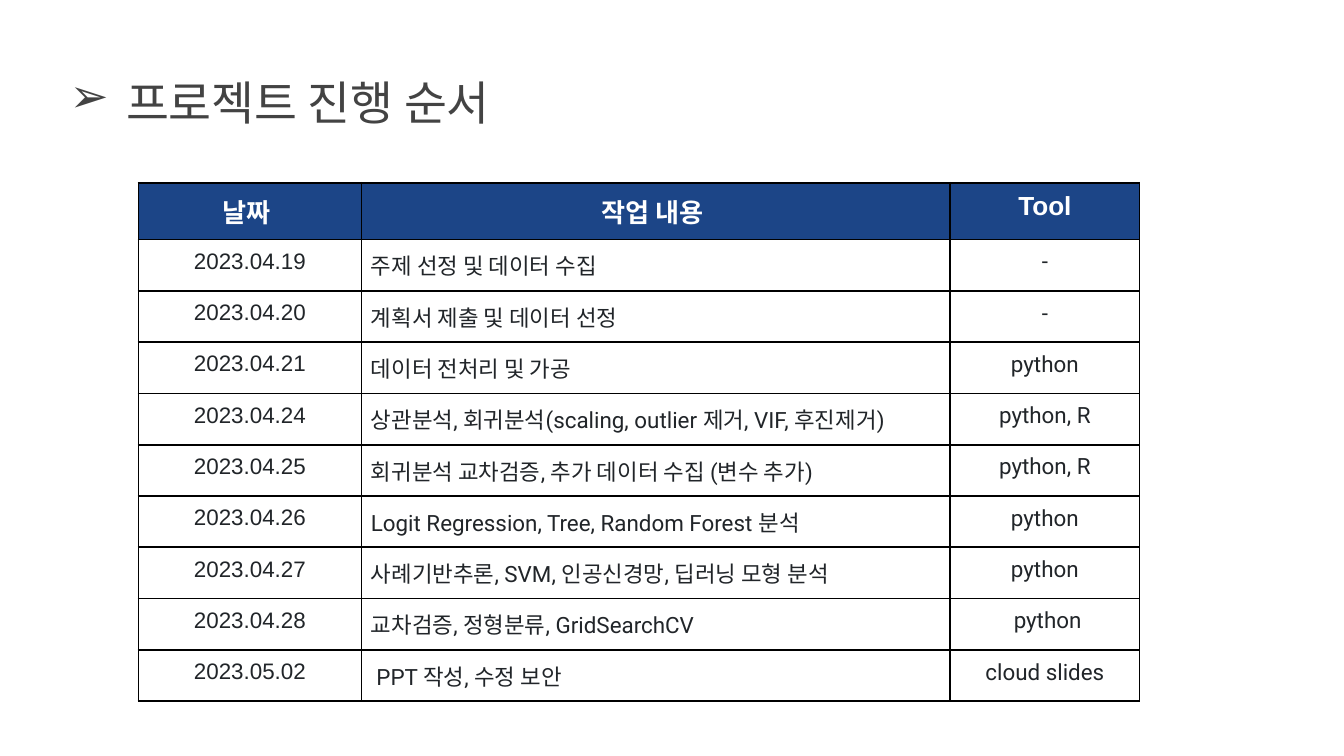
from lxml import etree
from pptx import Presentation
from pptx.dml.color import RGBColor
from pptx.enum.text import MSO_ANCHOR, MSO_AUTO_SIZE, PP_ALIGN
from pptx.oxml.ns import qn
from pptx.util import Inches, Pt

LEFT, CENTER = PP_ALIGN.LEFT, PP_ALIGN.CENTER
TOP = MSO_ANCHOR.TOP
SHRINK = MSO_AUTO_SIZE.TEXT_TO_FIT_SHAPE

NAVY = RGBColor(0x1C, 0x45, 0x87)
GRAY = RGBColor(0x43, 0x43, 0x43)
INK = RGBColor(0x21, 0x25, 0x29)
WHITE = RGBColor(0xFF, 0xFF, 0xFF)
BLACK = RGBColor(0x00, 0x00, 0x00)

# Content
TITLE = "프로젝트 진행 순서"
HEADER = ("날짜 ", "작업 내용 ", "Tool")
SCHEDULE = [
    ("2023.04.19", "주제 선정 및 데이터 수집", "-"),
    ("2023.04.20", "계획서 제출 및 데이터 선정", "-"),
    ("2023.04.21", "데이터 전처리 및 가공", "python"),
    ("2023.04.24", "상관분석, 회귀분석(scaling, outlier 제거, VIF, 후진제거)", "python, R"),
    ("2023.04.25", "회귀분석 교차검증, 추가 데이터 수집 (변수 추가)", "python, R"),
    ("2023.04.26", "Logit Regression, Tree, Random Forest 분석", "python"),
    ("2023.04.27", "사례기반추론, SVM, 인공신경망, 딥러닝 모형 분석", "python"),
    ("2023.04.28", "교차검증, 정형분류, GridSearchCV", " python"),
    ("2023.05.02", " PPT 작성, 수정 보안", "cloud slides"),
]
COLUMN_WIDTHS = (1.66, 4.38, 1.41)
COLUMN_FONTS = ("Arial", "Roboto", "Roboto")
COLUMN_ALIGNMENTS = (CENTER, LEFT, CENTER)
HEADER_HEIGHT, ROW_HEIGHT = 0.42, 0.38
SLIDE_WIDTH = 10
SLIDE_HEIGHT = SLIDE_WIDTH * 9 / 16


def write_text(paragraph, text, *, size, font, color, bold=False, alignment=LEFT):
    paragraph.alignment = alignment
    run = paragraph.add_run()
    run.text = text
    run.font.size = Pt(size)
    run.font.bold = bold
    run.font.color.rgb = color
    run.font.name = font


def add_bullet(paragraph, character, *, font, color, indent, hanging):
    properties = paragraph._p.get_or_add_pPr()
    properties.set("marL", str(Inches(indent)))
    properties.set("indent", str(-Inches(hanging)))
    bullet_color = etree.SubElement(properties, qn("a:buClr"))
    etree.SubElement(bullet_color, qn("a:srgbClr")).set("val", str(color))
    etree.SubElement(properties, qn("a:buFont")).set("typeface", font)
    etree.SubElement(properties, qn("a:buChar")).set("char", character)


def set_borders(cell, color, width):
    properties = cell._tc.get_or_add_tcPr()
    for position, side in enumerate(("a:lnL", "a:lnR", "a:lnT", "a:lnB")):
        line = etree.Element(qn(side), w=str(Pt(width)))
        fill = etree.SubElement(line, qn("a:solidFill"))
        etree.SubElement(fill, qn("a:srgbClr")).set("val", str(color))
        properties.insert(position, line)


def set_margins(target, inches):
    target.margin_left = target.margin_right = Inches(inches)
    target.margin_top = target.margin_bottom = Inches(inches)


presentation = Presentation()
presentation.slide_width = Inches(SLIDE_WIDTH)
presentation.slide_height = Inches(SLIDE_HEIGHT)
slide = presentation.slides.add_slide(presentation.slide_layouts[6])

# Title
title_box = slide.shapes.add_textbox(Inches(0.34), Inches(0.45), Inches(9.32), Inches(0.66))
title_frame = title_box.text_frame
title_frame.word_wrap = True
title_frame.auto_size = SHRINK
title_frame.vertical_anchor = TOP
set_margins(title_frame, 0.1)
title_paragraph = title_frame.paragraphs[0]
add_bullet(title_paragraph, "➢", font="Roboto", color=GRAY, indent=0.5, hanging=0.42)
write_text(title_paragraph, TITLE, size=25, font="Roboto", color=GRAY)

# Schedule table
rows = [HEADER] + SCHEDULE
heights = [HEADER_HEIGHT] + [ROW_HEIGHT] * len(SCHEDULE)
table = slide.shapes.add_table(
    len(rows), len(HEADER), Inches(1.03), Inches(1.36),
    Inches(sum(COLUMN_WIDTHS)), Inches(sum(heights)),
).table
table.first_row = table.horz_banding = False
for column, width in zip(table.columns, COLUMN_WIDTHS):
    column.width = Inches(width)
for row, height in zip(table.rows, heights):
    row.height = Inches(height)

for row_index, texts in enumerate(rows):
    for column_index, text in enumerate(texts):
        cell = table.cell(row_index, column_index)
        set_margins(cell, 0.07)
        cell.vertical_anchor = TOP
        paragraph = cell.text_frame.paragraphs[0]
        if row_index == 0:
            cell.fill.solid()
            cell.fill.fore_color.rgb = NAVY
            write_text(paragraph, text, size=14, font="Arial", color=WHITE,
                       bold=True, alignment=CENTER)
        else:
            cell.fill.background()
            write_text(paragraph, text, size=12, font=COLUMN_FONTS[column_index],
                       color=INK, alignment=COLUMN_ALIGNMENTS[column_index])
        set_borders(cell, BLACK, 1)

presentation.save("out.pptx")
